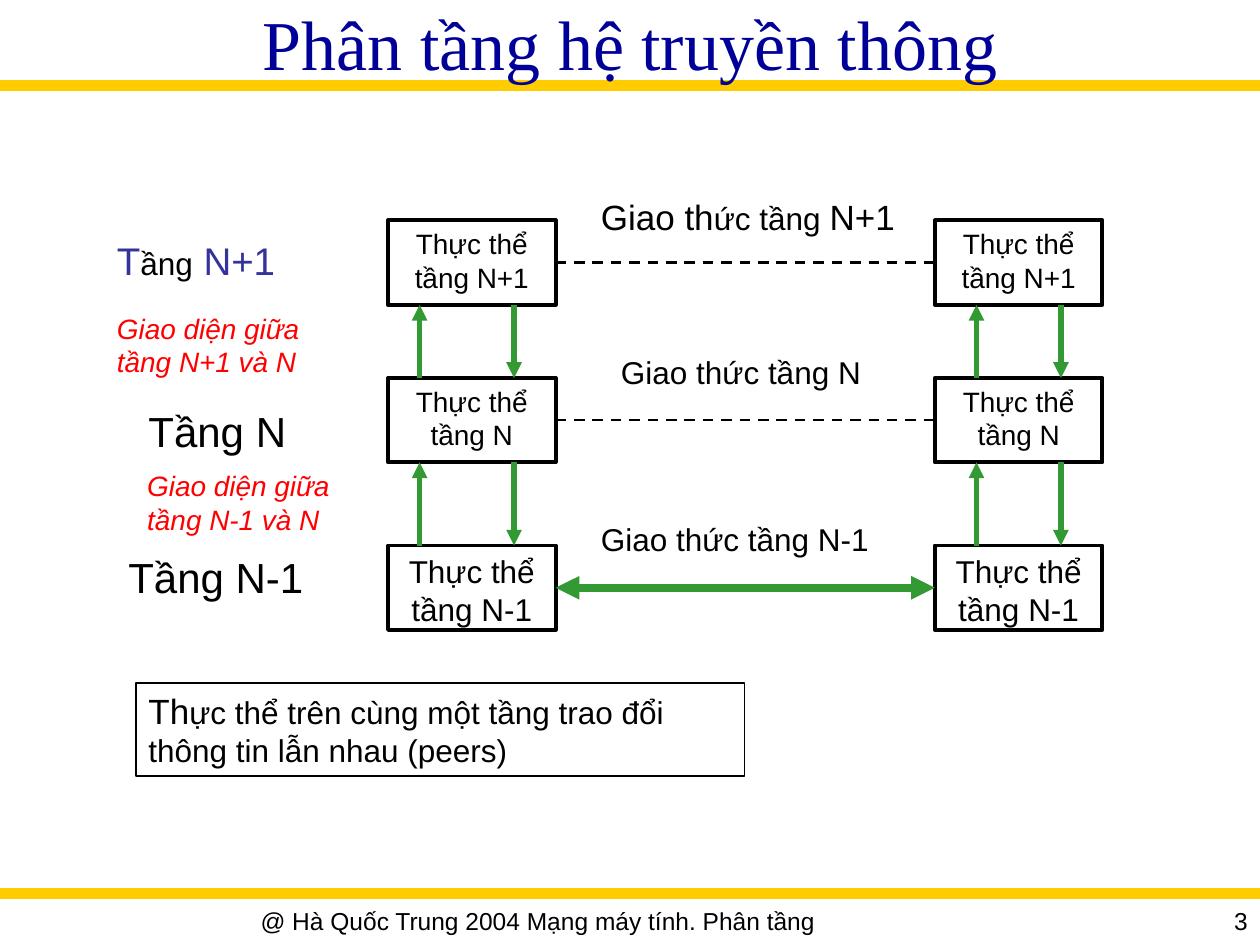
from lxml import etree
from pptx import Presentation
from pptx.dml.color import RGBColor
from pptx.enum import dml, shapes, text
from pptx.oxml import ns
from pptx.util import Inches, Pt

BLACK = RGBColor(0x00, 0x00, 0x00)
WHITE = RGBColor(0xFF, 0xFF, 0xFF)
GOLD = RGBColor(0xFF, 0xCC, 0x00)
GREEN = RGBColor(0x33, 0x99, 0x33)
RED = RGBColor(0xFF, 0x00, 0x00)
BLUE = RGBColor(0x33, 0x33, 0x99)
NAVY = RGBColor(0x00, 0x00, 0x99)

LEFT, RIGHT = 3.08, 7.42
WIDE, HIGH = 1.33, 0.67
ROWS = [("N+1", 1.75, 16), ("N", 3, 16), ("N-1", 4.33, 18)]


def write(shape, runs, align="LEFT", anchor="TOP"):
    frame = shape.text_frame
    frame.word_wrap = True
    frame.vertical_anchor = getattr(text.MSO_ANCHOR, anchor)
    line = frame.paragraphs[0]
    line.alignment = getattr(text.PP_ALIGN, align)
    for words, size, style in runs:
        run = line.add_run()
        run.text = words
        look = {"name": "Arial", "size": Pt(size), **style}
        run.font.color.rgb = look.pop("color", BLACK)
        for key, value in look.items():
            setattr(run.font, key, value)


def label(slide, box, runs, **place):
    shape = slide.shapes.add_textbox(*map(Inches, box))
    write(shape, runs, **place)


def frame(slide, box, width, runs, **place):
    shape = slide.shapes.add_shape(shapes.MSO_SHAPE.RECTANGLE, *map(Inches, box))
    shape.shadow.inherit = False
    shape.fill.solid()
    shape.fill.fore_color.rgb = WHITE
    shape.line.color.rgb = BLACK
    shape.line.width = Pt(width)
    write(shape, runs, **place)


def link(slide, ends, color, width, dash=False, tips=()):
    wire = slide.shapes.add_connector(shapes.MSO_CONNECTOR.STRAIGHT, *map(Inches, ends))
    wire.line.color.rgb = color
    wire.line.width = Pt(width)
    if dash:
        wire.line.dash_style = dml.MSO_LINE.DASH
    props = wire._element.spPr
    for tip in tips:
        etree.SubElement(props.find(ns.qn("a:ln")), ns.qn(f"a:{tip}"), type="triangle")
    etree.SubElement(props, ns.qn("a:effectLst"))


def stack(slide, left, rise):
    for name, top, size in ROWS:
        frame(slide, (left, top, WIDE, HIGH), 2.25,
              [(f"Thực thể tầng {name}", size, {})], align="CENTER")
    for (_, top, _), (_, low, _) in zip(ROWS, ROWS[1:]):
        high, fall = top + HIGH, left + 1
        link(slide, (fall, high, fall, low), GREEN, 3, tips=["tailEnd"])
        link(slide, (left + rise, low, left + rise, high), GREEN, 3, tips=["tailEnd"])


def peers(slide, start, end):
    for name, top, _ in ROWS:
        mid = top + HIGH / 2
        ends = (start, mid, end, mid)
        if name == "N-1":
            link(slide, ends, GREEN, 4.5, tips=["headEnd", "tailEnd"])
        else:
            link(slide, ends, BLACK, 1.5, dash=True)
    label(slide, (4.67, 1.5, 2.58, 0.44),
          [("Giao th", 20, {}), ("ức tầng ", 18, {}), ("N+1", 20, {})])
    label(slide, (4.83, 2.75, 2.58, 0.4), [("Giao thức tầng N", 18, {})])
    label(slide, (4.67, 4.08, 2.58, 0.4), [("Giao thức tầng N-1", 18, {})])


def names(slide):
    blue = {"color": BLUE}
    note = {"color": RED, "italic": True}
    label(slide, (0.83, 1.83, 2, 0.47),
          [("T", 22, blue), ("ầng", 18, {}), (" N+1", 22, blue)])
    label(slide, (1.08, 3.17, 1.83, 0.5), [("Tầng N", 24, {})])
    label(slide, (0.92, 4.33, 1.83, 0.5), [("Tầng N-1", 24, {})])
    label(slide, (0.83, 2.42, 2.08, 0.64), [("Giao diện giữa tầng N+1 và N", 16, note)])
    label(slide, (1.07, 3.67, 2.08, 0.64), [("Giao diện giữa tầng N-1 và N", 16, note)])


def edges(slide):
    for level in (0.68, 7.09):
        link(slide, (0, level, 10, level), GOLD, 6)
    label(slide, (0, 0, 10, 0.68),
          [("Phân tầng hệ truyền thông", 40, {"name": "Times New Roman", "color": NAVY})],
          align="CENTER", anchor="MIDDLE")
    label(slide, (0, 7.14, 8.54, 0.36),
          [("@ Hà Quốc Trung 2004 Mạng máy tính. Phân tầng", 14, {})], align="CENTER")
    label(slide, (8.58, 7.14, 1.42, 0.31), [("3", 14, {})], align="RIGHT")


def main():
    deck = Presentation()
    deck.slide_width, deck.slide_height = Inches(10), Inches(7.5)
    slide = deck.slides.add_slide(deck.slide_layouts[6])
    edges(slide)
    names(slide)
    stack(slide, LEFT, 0.25)
    stack(slide, RIGHT, 0.33)
    peers(slide, LEFT + WIDE, RIGHT)
    frame(slide, (1.08, 5.42, 4.83, 0.74), 1,
          [("Th", 20, {}), ("ực thể trên cùng một tầng trao đổi thông tin lẫn nhau (peers)", 18, {})])
    deck.save("out.pptx")


if __name__ == "__main__":
    main()
